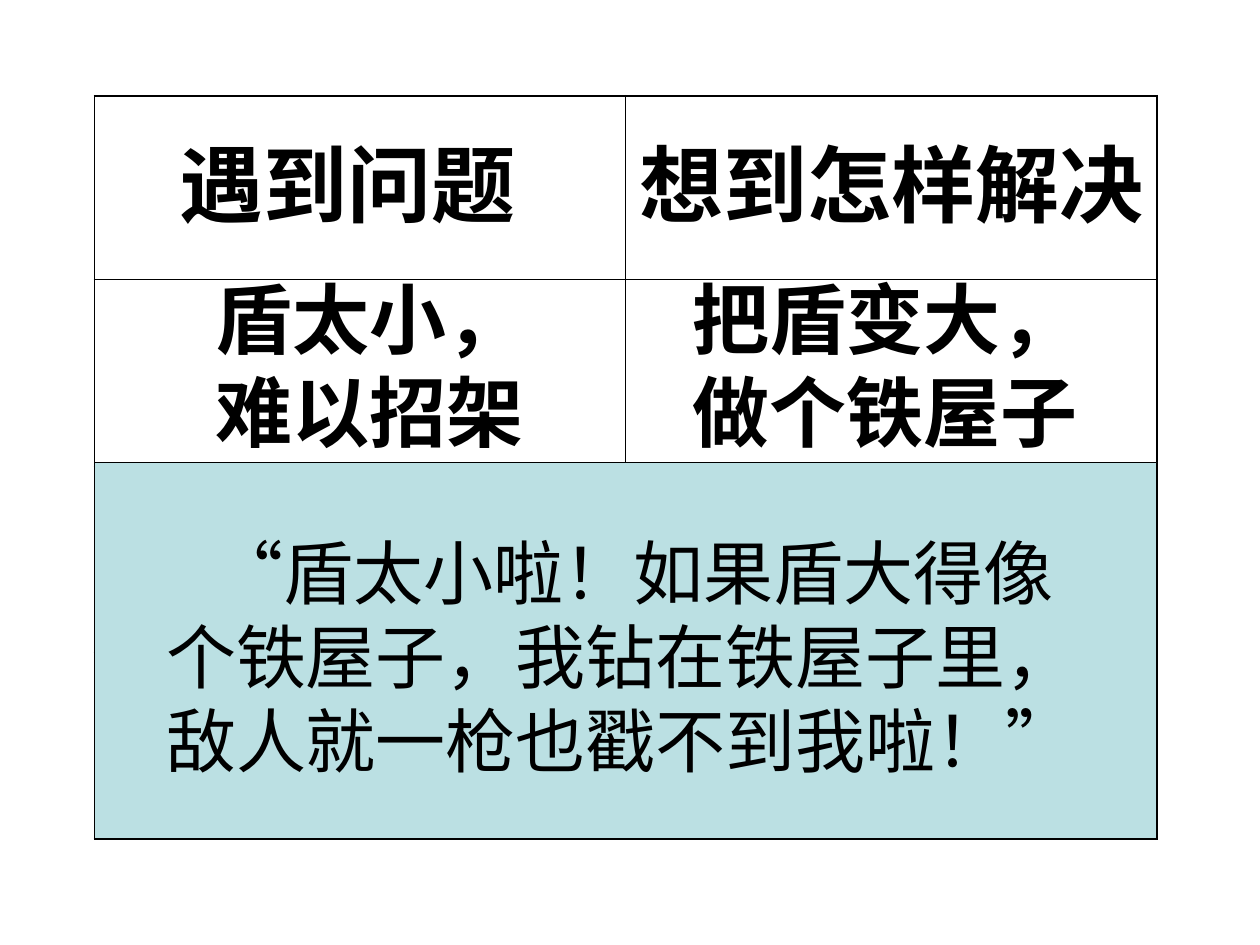
from lxml import etree
from pptx import Presentation
from pptx.dml.color import RGBColor
from pptx.enum.lang import MSO_LANGUAGE_ID as LANG
from pptx.enum.shapes import MSO_SHAPE as SHAPE
from pptx.enum.text import MSO_AUTO_SIZE as AUTOSIZE
from pptx.oxml.ns import qn
from pptx.util import Inches, Pt

COLORS = {"ink": "000000", "panel": "BBE0E3"}
FONT = "Times New Roman"
LEFT, TOP, WIDTH = 0.75, 0.76, 8.43
ROW_HEIGHTS = [1.46, 1.48, 1.48, 1.48]
OUTER, INNER = 1.08, 0.45


class SlideBuilder:
    def __init__(self, prs):
        self.slide = prs.slides.add_slide(prs.slide_layouts[6])

    def color(self, name):
        return RGBColor.from_string(COLORS[name])

    def border(self, cell, side, width):
        ln = etree.SubElement(cell._tc.get_or_add_tcPr(), qn(f"a:ln{side}"),
                              w=str(Pt(width)))
        fill = etree.SubElement(ln, qn("a:solidFill"))
        etree.SubElement(fill, qn("a:srgbClr"), val=COLORS["ink"])

    def grid(self, left, top, width, heights, cols):
        """Add an empty, unfilled table with a heavier outer frame."""
        rows = len(heights)
        table = self.slide.shapes.add_table(
            rows, cols, Inches(left), Inches(top),
            Inches(width), Inches(sum(heights))).table
        table.first_row = table.horz_banding = False
        for col in table.columns:
            col.width = Inches(width / cols)
        for i, height in enumerate(heights):
            table.rows[i].height = Inches(height)
            for j in range(cols):
                cell = table.cell(i, j)
                edges = {"L": j == 0, "R": j == cols - 1,
                         "T": i == 0, "B": i == rows - 1}
                for side, is_outer in edges.items():
                    self.border(cell, side, OUTER if is_outer else INNER)
                cell.fill.background()

    def panel(self, left, top, width, height):
        sp = self.slide.shapes.add_shape(
            SHAPE.RECTANGLE, Inches(left), Inches(top),
            Inches(width), Inches(height))
        sp.shadow.inherit = False
        sp.fill.solid()
        sp.fill.fore_color.rgb = self.color("panel")
        sp.line.color.rgb = self.color("ink")
        sp.line.width = Pt(0.75)

    def text(self, box, content, size, bold=False, indent=0):
        sp = self.slide.shapes.add_textbox(*map(Inches, box))
        tf = sp.text_frame
        tf.text = content
        tf.word_wrap = True
        tf.auto_size = AUTOSIZE.SHAPE_TO_FIT_TEXT
        for p in tf.paragraphs:
            if indent:
                p._p.get_or_add_pPr().set("indent", str(Inches(indent)))
            for r in p.runs:
                r.font.name = FONT
                r.font.size = Pt(size)
                r.font.bold = bold
                r.font.color.rgb = self.color("ink")
                r.font.language_id = LANG.SIMPLIFIED_CHINESE


def main():
    prs = Presentation()
    prs.slide_width, prs.slide_height = Inches(10), Inches(7.5)
    s = SlideBuilder(prs)

    s.grid(LEFT, TOP, WIDTH, ROW_HEIGHTS, cols=2)

    s.text((1.33, 1, 2.95, 0.9), "遇到问题", 48, bold=True)
    s.text((4.98, 1, 4.28, 0.9), "想到怎样解决", 48, bold=True)
    s.text((1.61, 2.11, 2.74, 1.57), "盾太小，\n难以招架", 44, bold=True)
    s.text((5.4, 2.11, 3.34, 1.57), "把盾变大，\n做个铁屋子", 44, bold=True)

    s.panel(LEFT, 3.67, WIDTH, 2.99)
    s.text((1.22, 4.15, 7.56, 2.1),
           "“盾太小啦！如果盾大得像个铁屋子，我钻在铁屋子里，敌人就一枪也戳不到我啦！”",
           40, indent=0.38)

    prs.save("out.pptx")


if __name__ == "__main__":
    main()
